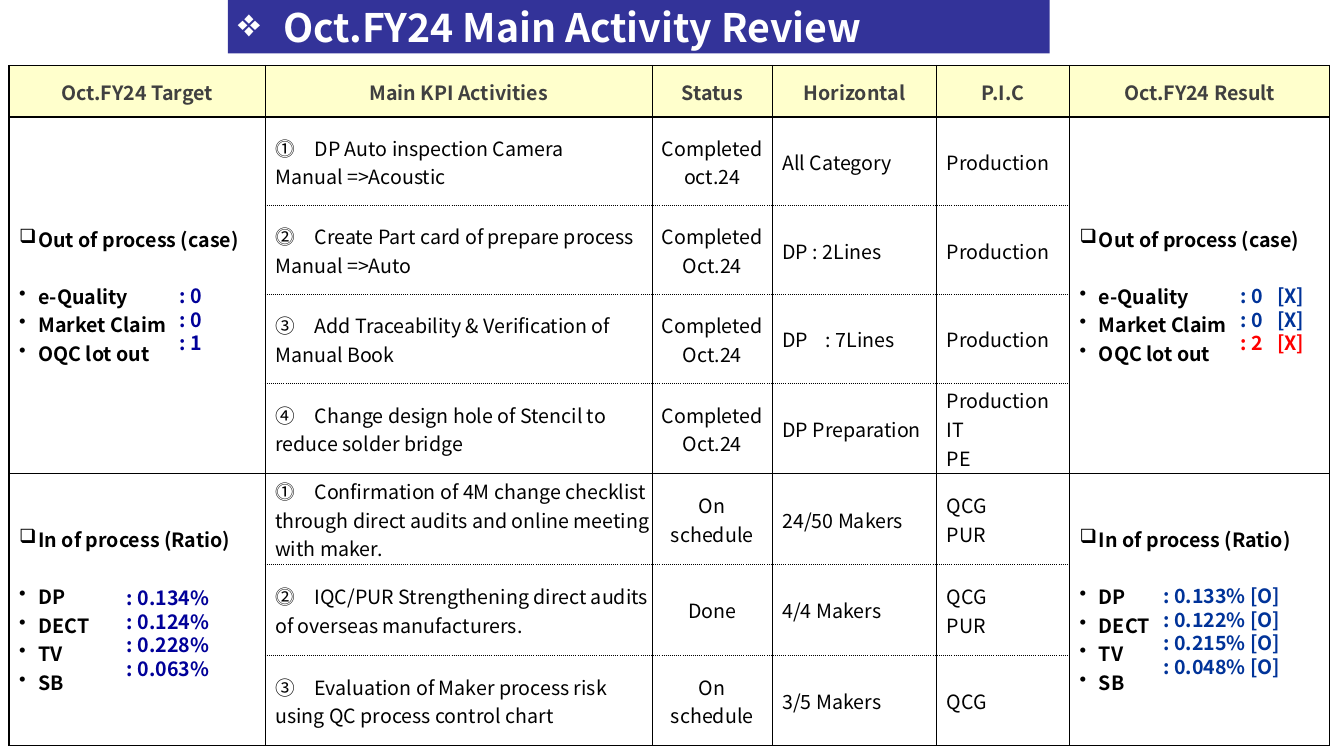
from lxml.etree import SubElement
from pptx import Presentation
from pptx.dml.color import RGBColor
from pptx.enum.text import MSO_ANCHOR, MSO_AUTO_SIZE, PP_ALIGN
from pptx.oxml.ns import qn
from pptx.util import Inches, Pt

FONT = "Noto Sans CJK JP"
WHITE = RGBColor(0xFF, 0xFF, 0xFF)
BLACK = RGBColor(0x00, 0x00, 0x00)
GREY = RGBColor(0x40, 0x40, 0x40)
CREAM = RGBColor(0xFF, 0xFF, 0xCC)
INDIGO = RGBColor(0x33, 0x33, 0x99)
NAVY = RGBColor(0x00, 0x00, 0x99)
BLUE = RGBColor(0x00, 0x33, 0x99)
RED = RGBColor(0xFF, 0x00, 0x00)


def add(parent, tag, **attrs):
    return SubElement(parent, qn(tag), {k: str(v) for k, v in attrs.items()})


def write(frame, text, color, size=14, bold=False, align=PP_ALIGN.LEFT,
          marks="", indent=0, tab=0, pitch=None):
    frame.text = text
    for i, line in enumerate(frame.paragraphs):
        line.alignment = align
        line.line_spacing = pitch
        props = line._p.get_or_add_pPr()
        if marks:
            props.set("marL", str(Inches(indent)))
            props.set("indent", str(-Inches(indent)))
            add(props, "a:buChar", char=marks[min(i, len(marks) - 1)])
        if tab:
            add(add(props, "a:tabLst"), "a:tab", pos=Inches(tab), algn="l")
        font = line.font
        font.name, font.size, font.bold = FONT, Pt(size), bold
        font.color.rgb = color


deck = Presentation()
deck.slide_width, deck.slide_height = Inches(13.33), Inches(7.5)
slide = deck.slides.add_slide(deck.slide_layouts[5])

title = slide.shapes.title
title.left, title.top = Inches(2.26), 0
title.width, title.height = Inches(8.15), Inches(0.53)
title.fill.solid()
title.fill.fore_color.rgb = INDIGO
frame = title.text_frame
frame.auto_size = MSO_AUTO_SIZE.NONE
frame.vertical_anchor = MSO_ANCHOR.MIDDLE
write(frame, "Oct.FY24 Main Activity Review", WHITE, 28, True, marks="❖", indent=0.45)
run = frame.paragraphs[0].runs[0]
glow = add(add(run._r.get_or_add_rPr(), "a:effectLst"), "a:outerShdw",
           blurRad=Pt(3), dist=Pt(3), dir=2700000, algn="tl")
add(add(glow, "a:srgbClr", val="000000"), "a:alpha", val=43000)

HEADS = ["Oct.FY24 Target", "Main KPI Activities", "Status", "Horizontal",
         "P.I.C", "Oct.FY24 Result"]
OUT = "Out of process (case)\ne-Quality\nMarket Claim\nOQC lot out"
RATIO = "In of process (Ratio)\nDP\nDECT\nTV\nSB"
TASKS = [
    ("⓵\u3000DP Auto inspection Camera\nManual =>Acoustic",
     "Completed\noct.24", "All Category", "Production"),
    ("⓶\u3000Create Part card of prepare process Manual =>Auto",
     "Completed Oct.24", "DP : 2Lines", "Production"),
    ("③\u3000Add Traceability & Verification of Manual Book",
     "Completed Oct.24", "DP\t: 7Lines", "Production"),
    ("④\u3000Change design hole of Stencil to reduce solder bridge",
     "Completed\nOct.24", "DP Preparation", "Production\nIT\nPE"),
    ("⓵\u3000Confirmation of 4M change checklist through direct audits and "
     "online meeting with maker.", "On\nschedule", "24/50 Makers", "QCG\nPUR"),
    ("⓶\u3000IQC/PUR Strengthening direct audits of overseas manufacturers.",
     "Done", "4/4 Makers", "QCG\nPUR"),
    ("③\u3000Evaluation of Maker process risk using QC process control chart",
     "On\nschedule", "3/5 Makers", "QCG"),
]
GROUPS = {1: (4, OUT), 5: (7, RATIO)}
SOLID = (0, 4, 7)
WIDTHS = [2.54, 3.84, 1.19, 1.63, 1.32, 2.58]
HEIGHTS = [0.51] + [0.88] * 3 + [0.9] * 4

table = slide.shapes.add_table(len(HEIGHTS), len(WIDTHS), Inches(0.09), Inches(0.65),
                               Inches(sum(WIDTHS)), Inches(sum(HEIGHTS))).table
table.first_row = table.horz_banding = False
for col, width in zip(table.columns, WIDTHS):
    col.width = Inches(width)
for row, height in zip(table.rows, HEIGHTS):
    row.height = Inches(height)

for r in range(len(HEIGHTS)):
    for c in range(len(WIDTHS)):
        cell = table.cell(r, c)
        outer = c in (0, 5)
        props = cell._tc.get_or_add_tcPr()
        for side, edge in (("L", 0), ("R", 0), ("T", max(r - 1, 0)), ("B", r)):
            solid = outer or edge in SOLID
            line = add(props, f"a:ln{side}", w=Pt(1 if solid else 0.5))
            add(add(line, "a:solidFill"), "a:srgbClr", val="000000")
            add(line, "a:prstDash", val="solid" if solid else "sysDot")
        cell.vertical_anchor = MSO_ANCHOR.MIDDLE
        cell.margin_left = Inches(0.01 if r == 0 or c == 2 else 0.1)
        cell.margin_right = cell.margin_top = Inches(0.01)
        cell.margin_bottom = 0
        frame = cell.text_frame
        if r == 0:
            cell.fill.solid()
            cell.fill.fore_color.rgb = CREAM
            write(frame, HEADS[c], GREY, bold=True, align=PP_ALIGN.CENTER)
            continue
        cell.fill.background()
        if not outer:
            text = TASKS[r - 1][c - 1]
            write(frame, text, BLACK, tab=0.43 if "\t" in text else 0,
                  align=PP_ALIGN.CENTER if c == 2 else PP_ALIGN.LEFT)
        elif r in GROUPS:
            last, text = GROUPS[r]
            cell.merge(table.cell(last, c))
            write(frame, text, BLACK, bold=True, marks="❑•", indent=0.19)
            frame.paragraphs[0].space_after = Pt(20.3)

SCORES = [
    (1.68, 2.81, 0.82, 0.72, NAVY, ": 0\n: 0\n: 1"),
    (1.16, 5.81, 1.37, 0.94, NAVY, ": 0.134%\n: 0.124%\n: 0.228%\n: 0.063%"),
    (12.21, 2.81, 1.19, 0.72, BLUE, ": 0\t[X]\n: 0\t[X]\n: 2\t[X]"),
    (11.44, 5.79, 1.63, 0.94, BLUE,
     ": 0.133% [O]\n: 0.122% [O]\n: 0.215% [O]\n: 0.048% [O]"),
]
for left, top, width, height, color, text in SCORES:
    box = slide.shapes.add_textbox(Inches(left), Inches(top), Inches(width), Inches(height))
    frame = box.text_frame
    frame.word_wrap = True
    frame.vertical_anchor = MSO_ANCHOR.MIDDLE
    write(frame, text, color, bold=True, tab=0.36 if "\t" in text else 0, pitch=Pt(16.8))
    if "\t" in text:
        frame.paragraphs[-1].font.color.rgb = RED

deck.save("out.pptx")
